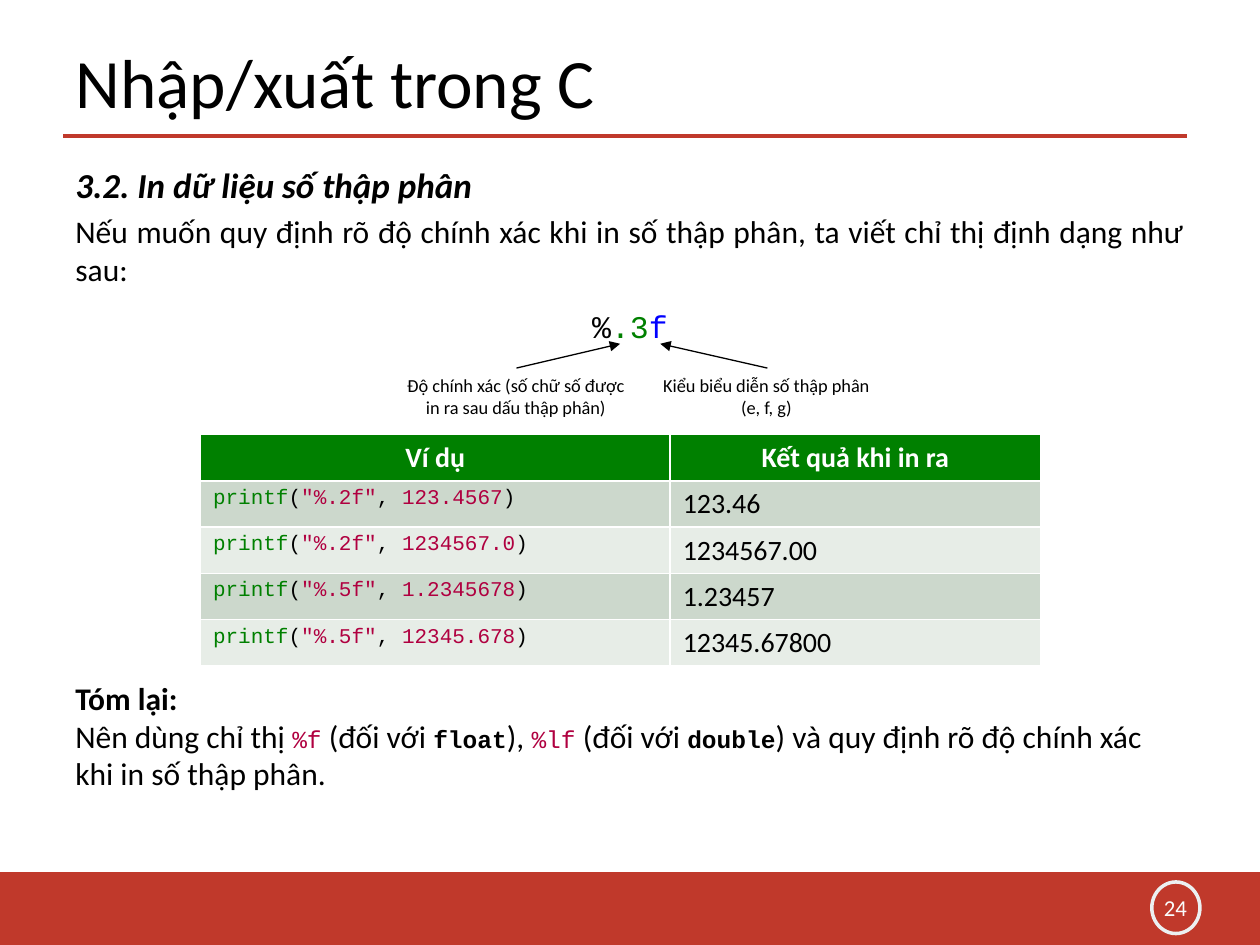
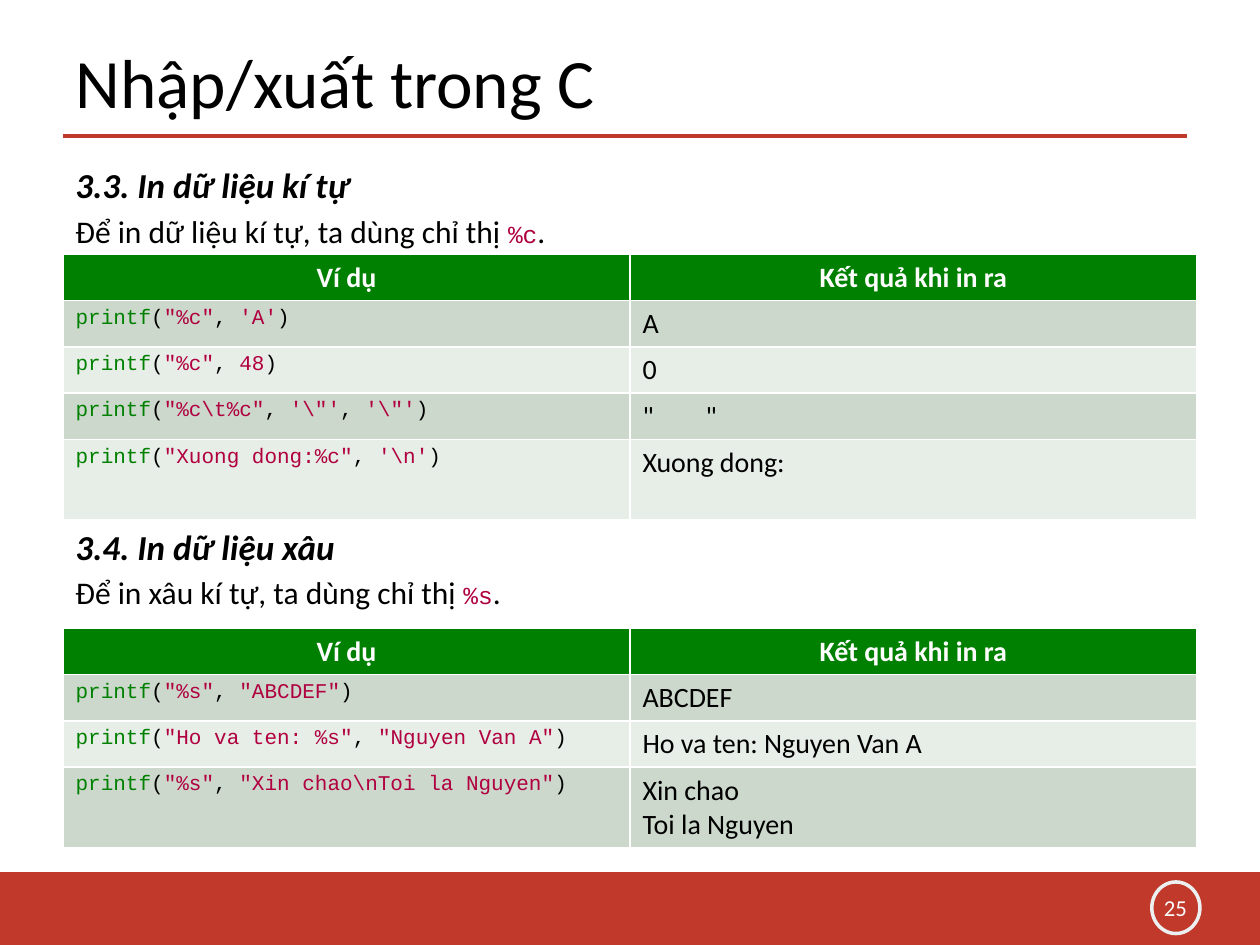
from dataclasses import dataclass, replace

from lxml import etree
from pptx import Presentation
from pptx.dml.color import RGBColor
from pptx.enum.shapes import MSO_CONNECTOR, MSO_SHAPE
from pptx.enum.text import MSO_ANCHOR, MSO_AUTO_SIZE, PP_ALIGN
from pptx.oxml.ns import qn
from pptx.util import Cm, Pt

LEFT, CENTER, JUSTIFY = PP_ALIGN.LEFT, PP_ALIGN.CENTER, PP_ALIGN.JUSTIFY
TOP, MIDDLE = MSO_ANCHOR.TOP, MSO_ANCHOR.MIDDLE
STRAIGHT = MSO_CONNECTOR.STRAIGHT
RECTANGLE, OVAL = MSO_SHAPE.RECTANGLE, MSO_SHAPE.OVAL
NO_AUTOFIT = MSO_AUTO_SIZE.NONE
TITLE_ONLY = 5


@dataclass(frozen=True)
class Style:
    size: float
    font: str = "Calibri"
    color: str = "000000"
    bold: bool = False
    italic: bool = False


@dataclass(frozen=True)
class Theme:
    # Colours
    accent: str = "C0392B"
    ring: str = "ECF0F1"
    ink: str = "000000"
    header_fill: str = "008000"
    row_fills: tuple = ("CCD8CC", "E7EDE7")
    # Type
    title: Style = Style(39.6)
    heading: Style = Style(20, bold=True, italic=True)
    body: Style = Style(18)
    strong: Style = Style(18, bold=True)
    caption: Style = Style(10.5)
    page_number: Style = Style(13, color="FAFCFC")
    table_header: Style = Style(16, color="FFFFFF", bold=True)
    table_text: Style = Style(16)
    directive: Style = Style(14, "Courier New", "B00040")
    type_name: Style = Style(14, "Courier New", bold=True)
    code: Style = Style(12, "Courier New")
    code_function: Style = Style(12, "Courier New", "008000")
    code_literal: Style = Style(12, "Courier New", "B00040")
    format_sample: Style = Style(18, "Courier New")
    # Measures in centimetres
    margin: float = 1.27
    content_width: float = 22.86
    row_height: float = 0.93
    tall_row_height: float = 1.62


THEME = Theme()
LESSON_TITLE = "Nhập/xuất trong C"
TABLE_HEADER = ("Ví dụ", "Kết quả khi in ra")


def rgb(color):
    return RGBColor.from_string(color)


# ---- Text ----
def format_run(run, style):
    font = run.font
    font.name, font.size = style.font, Pt(style.size)
    font.bold, font.italic = style.bold, style.italic
    font.color.rgb = rgb(style.color)


def write_paragraph(paragraph, pieces, alignment=LEFT, space_before=0):
    """Write (text, style) pieces as the runs of one paragraph."""
    paragraph.alignment = alignment
    paragraph.space_before = Pt(space_before)
    for text, style in pieces:
        run = paragraph.add_run()
        run.text = text
        format_run(run, style)


def write_text(text_frame, text, style, alignment=LEFT):
    text_frame.text = text
    for paragraph in text_frame.paragraphs:
        paragraph.alignment = alignment
        for run in paragraph.runs:
            format_run(run, style)


def add_text_box(slide, left, top, width, height, anchor=TOP):
    box = slide.shapes.add_textbox(Cm(left), Cm(top), Cm(width), Cm(height))
    text_frame = box.text_frame
    text_frame.word_wrap = True
    text_frame.vertical_anchor = anchor
    return text_frame


def add_section(slide, top, height, heading, pieces):
    """Add a numbered heading with its explanation below."""
    text_frame = add_text_box(slide, THEME.margin, top, THEME.content_width, height)
    write_paragraph(text_frame.paragraphs[0], [(heading, THEME.heading)],
                    JUSTIFY, THEME.heading.size * 0.2)
    write_paragraph(text_frame.add_paragraph(), pieces,
                    JUSTIFY, THEME.body.size * 0.2)


# ---- Lines and shapes ----
def add_line(slide, start, end, color, width, arrow=False):
    line = slide.shapes.add_connector(STRAIGHT, *map(Cm, start + end))
    line.line.color.rgb = rgb(color)
    line.line.width = Pt(width)
    if arrow:
        etree.SubElement(line.line._get_or_add_ln(), qn("a:tailEnd"), type="triangle")
    etree.SubElement(line._element.spPr, qn("a:effectLst"))


def add_plain_shape(slide, kind, left, top, width, height):
    shape = slide.shapes.add_shape(kind, Cm(left), Cm(top), Cm(width), Cm(height))
    shape.shadow.inherit = False
    shape.fill.background()
    shape.line.fill.background()
    return shape


# ---- Slide frame ----
def add_lesson_slide(presentation, number):
    """Add a slide with the title, rule, bottom band and page number."""
    slide = presentation.slides.add_slide(presentation.slide_layouts[TITLE_ONLY])
    add_line(slide, (THEME.margin, 2.74), (23.93, 2.74), THEME.accent, 2.25)

    band = add_plain_shape(slide, RECTANGLE, 0, 17.58, 25.4, 1.47)
    band.fill.solid()
    band.fill.fore_color.rgb = rgb(THEME.accent)

    ring = add_plain_shape(slide, OVAL, 23.22, 17.78, 0.97, 1.04)
    ring.line.color.rgb = rgb(THEME.ring)
    ring.line.width = Pt(2)
    number_frame = add_text_box(slide, 23.06, 17.88, 1.27, 0.81, MIDDLE)
    write_text(number_frame, str(number), THEME.page_number, CENTER)

    title = slide.shapes.title
    title.left, title.top = Cm(THEME.margin), Cm(0.76)
    title.width, title.height = Cm(20.32), Cm(1.75)
    title.text_frame.auto_size = NO_AUTOFIT
    title.text_frame.vertical_anchor = MIDDLE
    write_text(title.text_frame, LESSON_TITLE, THEME.title)
    return slide


# ---- Example tables ----
def printf_pieces(arguments):
    """Return the coloured pieces of a printf call."""
    pieces = [("printf", THEME.code_function), ("(", THEME.code)]
    for index, argument in enumerate(arguments):
        if index:
            pieces.append((", ", THEME.code))
        pieces.append((argument, THEME.code_literal))
    return pieces + [(")", THEME.code)]


def fill_cell(cell, color):
    cell.fill.solid()
    cell.fill.fore_color.rgb = rgb(color)


def add_example_table(slide, left, top, widths, examples, tall_last_row=False):
    """Add a table of printf arguments and the output they give."""
    row_count = len(examples) + 1
    heights = [THEME.row_height] * row_count
    if tall_last_row:
        heights[-1] = THEME.tall_row_height
    table = slide.shapes.add_table(row_count, len(widths), Cm(left), Cm(top),
                                   Cm(sum(widths)), Cm(sum(heights))).table
    for column, width in zip(table.columns, widths):
        column.width = Cm(width)
    for row, height in zip(table.rows, heights):
        row.height = Cm(height)

    for column_index, label in enumerate(TABLE_HEADER):
        cell = table.cell(0, column_index)
        fill_cell(cell, THEME.header_fill)
        write_text(cell.text_frame, label, THEME.table_header, CENTER)

    for row_index, (arguments, output) in enumerate(examples, start=1):
        call_cell, output_cell = table.cell(row_index, 0), table.cell(row_index, 1)
        for cell in (call_cell, output_cell):
            fill_cell(cell, THEME.row_fills[(row_index - 1) % 2])
        write_paragraph(call_cell.text_frame.paragraphs[0], printf_pieces(arguments))
        write_text(output_cell.text_frame, output, THEME.table_text)


# ---- Slides ----
def add_format_diagram(slide):
    """Show the parts of a precision directive with two pointers."""
    sample = THEME.format_sample
    sample_frame = add_text_box(slide, 9.93, 6.07, 5.54, 1.04)
    write_paragraph(sample_frame.paragraphs[0],
                    [("%", sample),
                     (".3", replace(sample, color="008000")),
                     ("f", replace(sample, color="0000FF"))], CENTER)
    pointers = (
        (7.9, "Độ chính xác (số chữ số được in ra sau dấu thập phân)", 10.41, 12.5),
        (12.95, "Kiểu biểu diễn số thập phân (e, f, g)", 15.47, 13.31),
    )
    for left, caption, start, end in pointers:
        caption_frame = add_text_box(slide, left, 7.42, 5, 1.19)
        write_text(caption_frame, caption, THEME.caption, CENTER)
        add_line(slide, (start, 7.42), (end, 6.93), THEME.ink, 0.75, arrow=True)


def add_decimal_slide(presentation):
    slide = add_lesson_slide(presentation, 24)
    add_section(slide, 3.18, 3.33, "3.2. In dữ liệu số thập phân", [
        ("Nếu muốn quy định rõ độ chính xác khi in số thập phân, "
         "ta viết chỉ thị định dạng như sau:", THEME.body)])
    add_format_diagram(slide)
    add_example_table(slide, 4.04, 8.76, (9.47, 7.47), (
        (('"%.2f"', "123.4567"), "123.46"),
        (('"%.2f"', "1234567.0"), "1234567.00"),
        (('"%.5f"', "1.2345678"), "1.23457"),
        (('"%.5f"', "12345.678"), "12345.67800"),
    ))

    # Summary
    summary = add_text_box(slide, THEME.margin, 13.56, THEME.content_width, 2.57)
    write_paragraph(summary.paragraphs[0], [("Tóm lại:", THEME.strong)], JUSTIFY)
    write_paragraph(summary.add_paragraph(), [
        ("Nên dùng chỉ thị ", THEME.body), ("%f", THEME.directive),
        (" (đối với ", THEME.body), ("float", THEME.type_name),
        ("), ", THEME.body), ("%lf", THEME.directive),
        (" (đối với ", THEME.body), ("double", THEME.type_name),
        (") và quy định rõ độ chính xác khi in số thập phân.", THEME.body)])


def add_character_slide(presentation):
    slide = add_lesson_slide(presentation, 25)
    widths = (THEME.content_width / 2,) * 2

    # Characters
    add_section(slide, 3.18, 1.96, "3.3. In dữ liệu kí tự", [
        ("Để in dữ liệu kí tự, ta dùng chỉ thị ", THEME.body),
        ("%c", THEME.directive), (".", THEME.body)])
    add_example_table(slide, THEME.margin, 5.13, widths, (
        (('"%c"', "'A'"), "A"),
        (('"%c"', "48"), "0"),
        ((r'"%c\t%c"', r"'\"'", r"'\"'"), '"\t"'),
        (('"Xuong dong:%c"', r"'\n'"), "Xuong dong:"),
    ), tall_last_row=True)

    # Strings
    add_section(slide, 10.46, 2.21, "3.4. In dữ liệu xâu", [
        ("Để in xâu kí tự, ta dùng chỉ thị ", THEME.body),
        ("%s", THEME.directive), (".", THEME.body)])
    add_example_table(slide, THEME.margin, 12.67, widths, (
        (('"%s"', '"ABCDEF"'), "ABCDEF"),
        (('"Ho va ten: %s"', '"Nguyen Van A"'), "Ho va ten: Nguyen Van A"),
        (('"%s"', r'"Xin chao\nToi la Nguyen"'), "Xin chao\nToi la Nguyen"),
    ), tall_last_row=True)


def main():
    presentation = Presentation()
    presentation.slide_width, presentation.slide_height = Cm(25.4), Cm(19.05)
    add_decimal_slide(presentation)
    add_character_slide(presentation)
    presentation.save("out.pptx")


if __name__ == "__main__":
    main()
